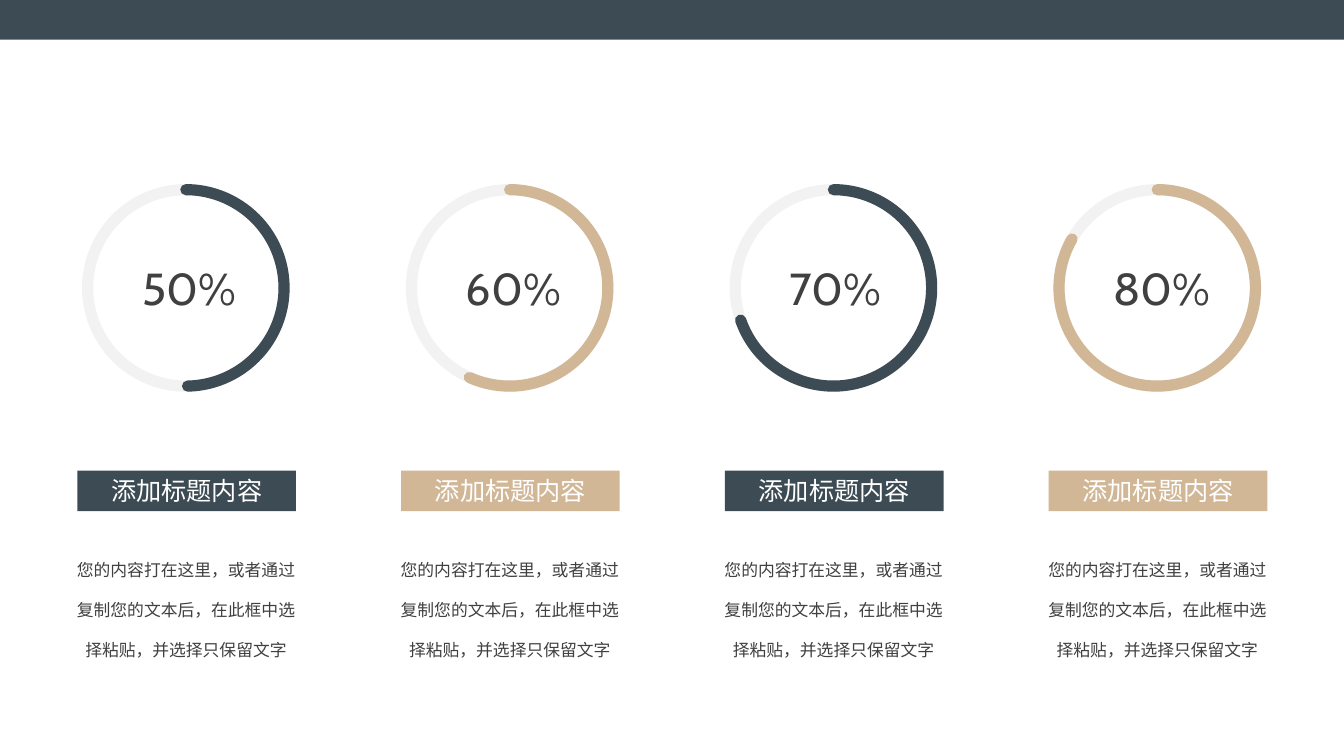
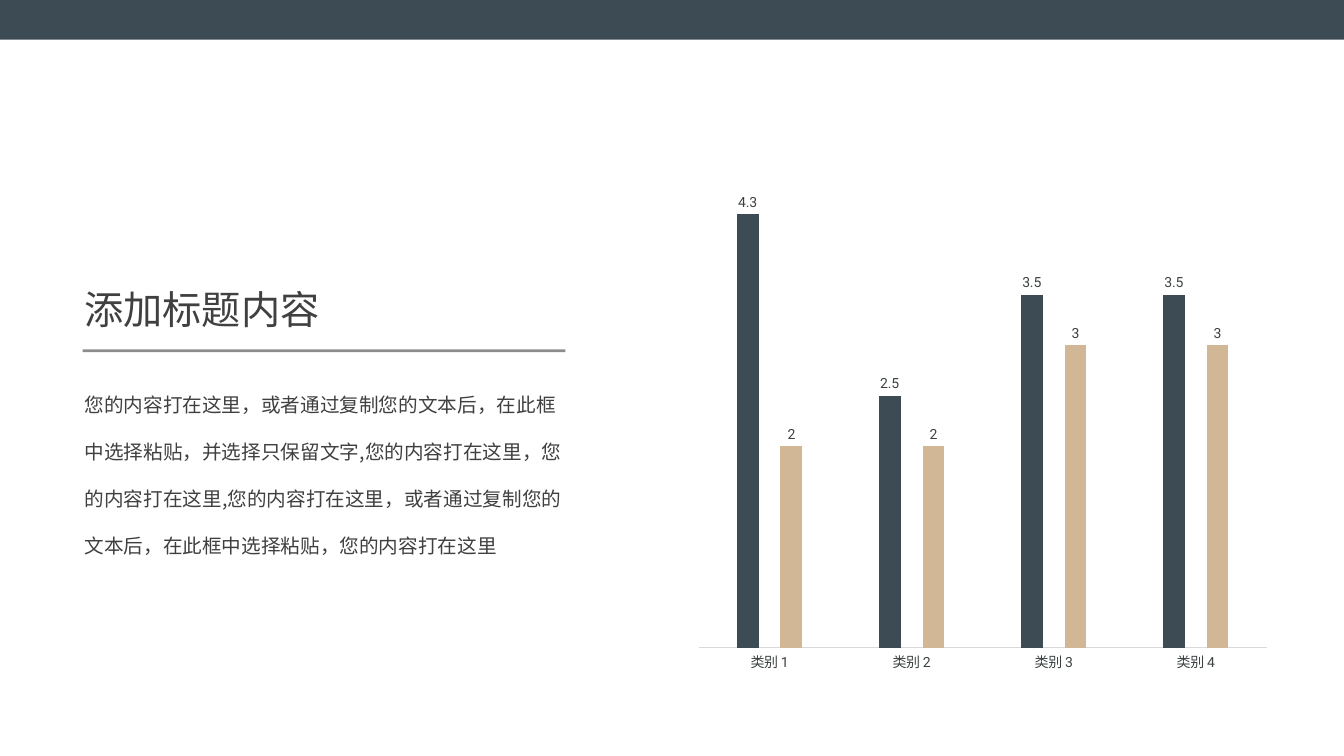
from lxml.etree import SubElement
from pptx import Presentation
from pptx.chart.data import CategoryChartData
from pptx.dml.color import RGBColor
from pptx.enum.chart import XL_CHART_TYPE, XL_LABEL_POSITION, XL_TICK_MARK
from pptx.enum.shapes import MSO_CONNECTOR, MSO_SHAPE
from pptx.enum.text import MSO_ANCHOR, PP_ALIGN
from pptx.oxml import parse_xml
from pptx.oxml.ns import nsdecls, qn
from pptx.util import Cm, Pt

WIDE, HIGH = 33.87, 19.05
NAVY, TAN, PALE, WHITE = "3D4C54", "D1B796", "F2F2F2", "FFFFFF"
INK, LABEL, RULE = "404040", "3B4141", "D9D9D9"
HAN, LATIN, DATA = "Noto Sans CJK SC", "Cabin", "Roboto"

HEAD = "添加标题内容"
NOTE = "您的内容打在这里，或者通过复制您的文本后，在此框中选择粘贴，并选择只保留文字"
BODY = NOTE + (",您的内容打在这里，您的内容打在这里,您的内容打在这里，"
               "或者通过复制您的文本后，在此框中选择粘贴，您的内容打在这里")

# Share, sweep end in degrees, colour
RINGS = [("50%", 89, NAVY), ("60%", 114.2, TAN),
         ("70%", 160.9, NAVY), ("80%", 209.9, TAN)]
SERIES = [("Series 1", (4.3, 2.5, 3.5, 3.5), NAVY),
          ("Series 2", (2, 2, 3, 3), TAN)]


def paint(fmt, color):
    """Give a font, or a fill or line, one solid colour."""
    if hasattr(fmt, "size"):
        fmt.color.rgb = RGBColor.from_string(color)
    else:
        fill = getattr(fmt, "fill", fmt)
        fill.solid()
        fill.fore_color.rgb = RGBColor.from_string(color)


def setall(obj, vals):
    for key, val in vals.items():
        setattr(obj, key, val)


def style(font, face, size, color):
    setall(font, {"name": face, "size": Pt(size)})
    paint(font, color)


def write(shape, text, size, color=INK, face=HAN,
          align=PP_ALIGN.LEFT, space=1, anchor=MSO_ANCHOR.TOP):
    frame = shape.text_frame
    setall(frame, {"word_wrap": True, "vertical_anchor": anchor})
    para = frame.paragraphs[0]
    setall(para, {"alignment": align, "line_spacing": space})
    run = para.add_run()
    run.text = text
    style(run.font, face, size, color)
    SubElement(run._r.get_or_add_rPr(), qn("a:ea"), typeface=face)


def label(slide, box, text, size, **opts):
    write(slide.shapes.add_textbox(*map(Cm, box)), text, size, **opts)


def shape(slide, kind, box, fill=None, line=None):
    item = slide.shapes.add_shape(kind, *map(Cm, box))
    item.shadow.inherit = False
    for part, color in ((item.fill, fill), (item.line, line)):
        if color:
            paint(part, color)
        else:
            getattr(part, "fill", part).background()
    return item


def ring(slide, box, end, color):
    """Draw a pale circle with a round-ended arc from the top to an angle."""
    base = shape(slide, MSO_SHAPE.FLOWCHART_CONNECTOR, box, line=PALE)
    arc = shape(slide, MSO_SHAPE.ARC, box, line=color)
    for spot, angle in enumerate((270, end)):
        arc.adjustments[spot] = angle * 0.6
    for item in (base, arc):
        item.line.width = Pt(8)
    arc.line._get_or_add_ln().set("cap", "rnd")


def card(slide, left, top, share, end, color):
    ring(slide, (left + 0.71, top, 4.95, 4.95), end, color)
    label(slide, (left + 1.83, top + 1.67, 3.05, 1.63), share, 32, face=LATIN)
    tag = shape(slide, MSO_SHAPE.RECTANGLE,
                (left + 0.45, top + 7.08, 5.51, 1.02), fill=color)
    write(tag, HEAD, 18, WHITE, align=PP_ALIGN.CENTER,
          anchor=MSO_ANCHOR.MIDDLE)
    label(slide, (left, top + 8.68, 6.38, 3.18), NOTE, 12,
          align=PP_ALIGN.CENTER, space=2)


def prose(slide, left, top):
    """Place a heading, a thin rule and body text."""
    label(slide, (left, top, 6.81, 1.45), HEAD, 28)
    rule = slide.shapes.add_connector(
        MSO_CONNECTOR.STRAIGHT, Cm(left + 0.2), Cm(top + 1.78),
        Cm(left + 12.37), Cm(top + 1.78))
    paint(rule.line, INK)
    rule.line.width = Pt(0)
    tint = rule.line._get_or_add_ln().find(".//" + qn("a:srgbClr"))
    SubElement(tint, qn("a:alpha"), val="60000")
    SubElement(rule._element.spPr, qn("a:effectLst"))
    label(slide, (left, top + 2.13, 12.6, 4.88), BODY, 14, space=2)


def frame(chart, **place):
    """Fix the inner plot area as fractions of the chart."""
    area = chart.element.find(".//" + qn("c:plotArea"))
    for old in area.findall(qn("c:layout")):
        area.remove(old)
    vals = {"layoutTarget": "inner", "xMode": "edge", "yMode": "edge", **place}
    tags = "".join(f'<c:{key} val="{val}"/>' for key, val in vals.items())
    area.insert(0, parse_xml(
        f'<c:layout {nsdecls("c")}><c:manualLayout>{tags}'
        '</c:manualLayout></c:layout>'))


def bars(slide, box):
    data = CategoryChartData()
    data.categories = [f"类别 {num}" for num in range(1, 5)]
    for name, vals, _ in SERIES:
        data.add_series(name, vals)
    chart = slide.shapes.add_chart(
        XL_CHART_TYPE.COLUMN_CLUSTERED, *map(Cm, box), data).chart
    setall(chart, {"has_legend": False, "has_title": False})
    style(chart.font, DATA, 10, LABEL)
    plot = chart.plots[0]
    setall(plot, {"gap_width": 350, "overlap": -100,
                  "vary_by_categories": False, "has_data_labels": True})
    setall(plot.data_labels, {"show_value": True,
                              "position": XL_LABEL_POSITION.OUTSIDE_END})
    style(plot.data_labels.font, DATA, 10, LABEL)
    for series, (_, _, color) in zip(plot.series, SERIES):
        paint(series.format.fill, color)
    setall(chart.value_axis, {"visible": False, "has_major_gridlines": False,
                              "minimum_scale": 0, "maximum_scale": 5})
    axis = chart.category_axis
    axis.major_tick_mark = XL_TICK_MARK.NONE
    style(axis.tick_labels.font, DATA, 10, LABEL)
    paint(axis.format.line, RULE)
    axis.format.line.width = Pt(0.75)
    frame(chart, x=0.044, y=0.028, w=0.949, h=0.901)


def band(slide):
    shape(slide, MSO_SHAPE.RECTANGLE, (0, 0, WIDE, 1), fill=NAVY)


def rates(slide):
    for col, item in enumerate(RINGS):
        card(slide, 1.5 + col * 8.16, 4.78, *item)


def trend(slide):
    bars(slide, (16.94, 3.23, 15.09, 14.1))
    prose(slide, 1.88, 7.06)


def main():
    deck = Presentation()
    setall(deck, {"slide_width": Cm(WIDE), "slide_height": Cm(HIGH)})
    for fill in (rates, trend):
        slide = deck.slides.add_slide(deck.slide_layouts[6])
        fill(slide)
        band(slide)
    deck.save("out.pptx")


if __name__ == "__main__":
    main()
